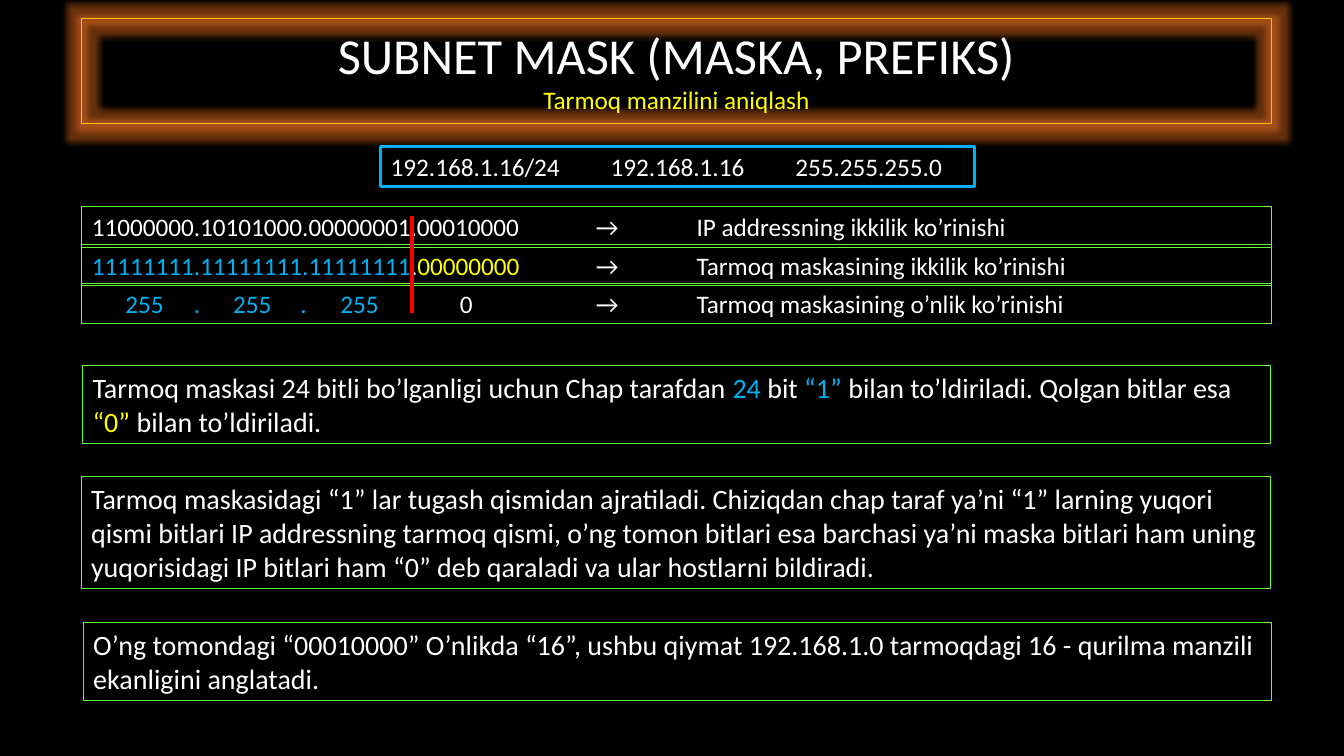
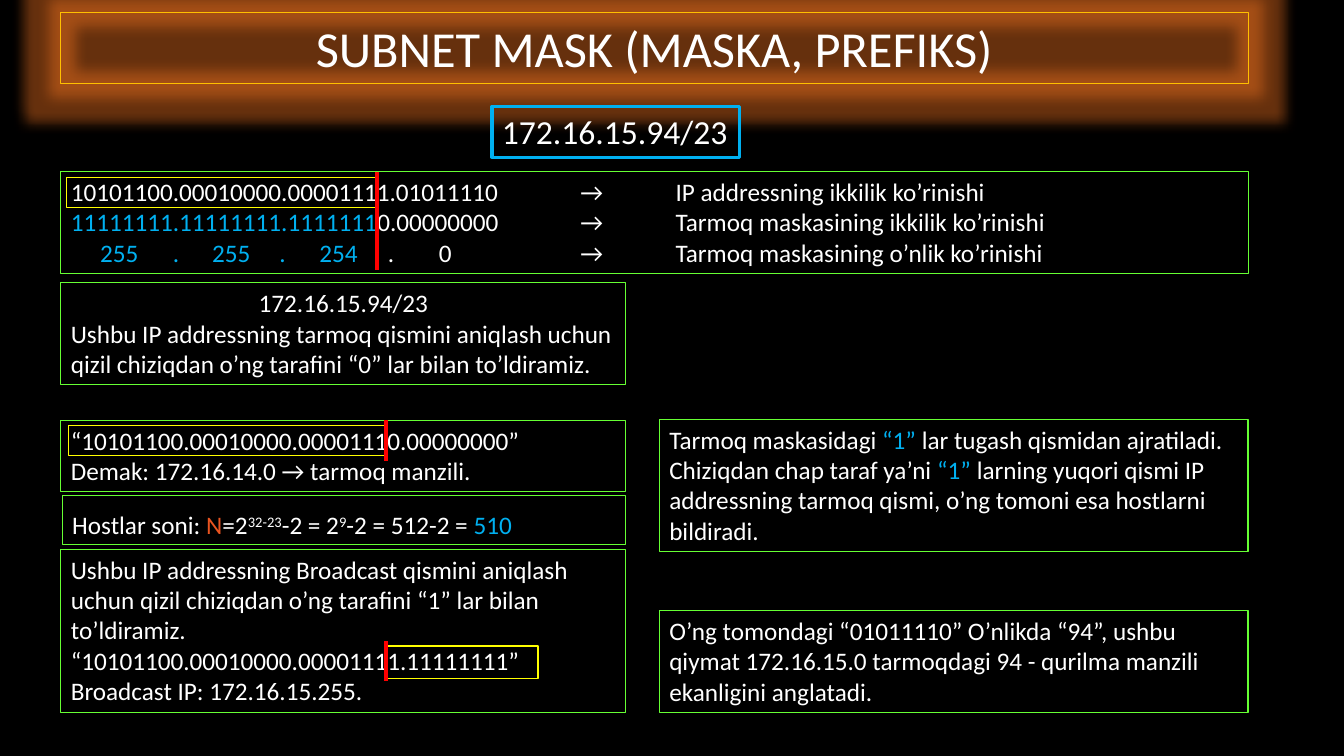
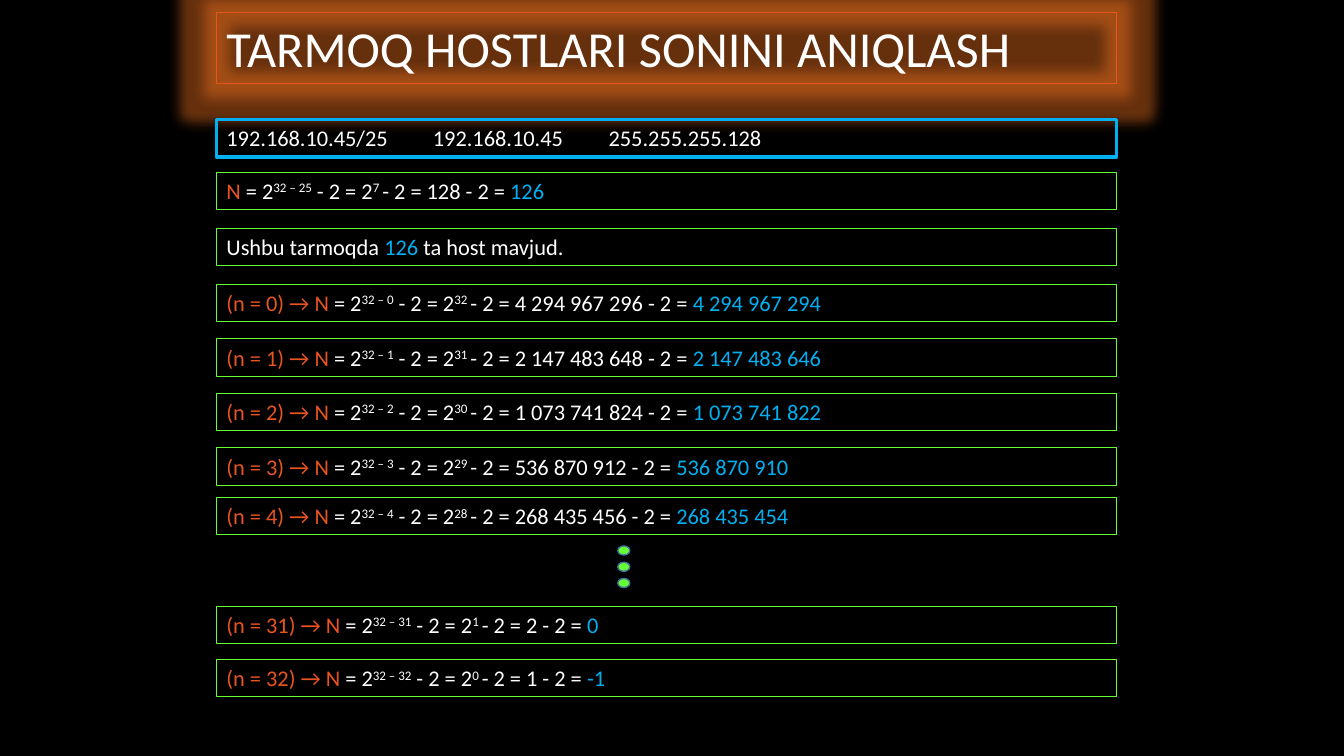
from dataclasses import dataclass

from lxml.etree import SubElement
from pptx import Presentation
from pptx.dml.color import RGBColor
from pptx.enum.shapes import MSO_CONNECTOR, MSO_SHAPE
from pptx.enum.text import MSO_ANCHOR, MSO_AUTO_SIZE, PP_ALIGN
from pptx.oxml.ns import qn
from pptx.util import Pt


# Theme
@dataclass(frozen=True)
class Theme:
    font: str = "Calibri"
    black: str = "000000"
    white: str = "FFFFFF"
    blue: str = "00B0F0"
    yellow: str = "FFFF00"
    green: str = "66FF33"
    gold: str = "FFC000"
    orange: str = "E95420"
    red: str = "FF0000"
    glow: str = "FF7A22"
    dot_edge: str = "43739E"
    title: float = 36
    address: float = 24
    body: float = 20
    text: float = 18
    formula: float = 16
    thin: float = 0.75
    mark: float = 1
    thick: float = 2.25
    divider: float = 3


THEME = Theme()


@dataclass(frozen=True)
class Area:
    left: float
    top: float
    width: float
    height: float

    def emu(self) -> tuple:
        return Pt(self.left), Pt(self.top), Pt(self.width), Pt(self.height)


@dataclass(frozen=True)
class Span:
    text: str
    color: str = THEME.white
    raised: bool = False


@dataclass(frozen=True)
class Para:
    spans: tuple
    size: float = THEME.text
    centered: bool = False
    tabs: tuple = ()


def plain(text: str, size: float = THEME.text, centered: bool = False, tabs: tuple = ()) -> Para:
    return Para((Span(text),), size, centered, tabs)


def blue(text: str) -> Span:
    return Span(text, THEME.blue)


# Drawing
def add_para(para, content: Para) -> None:
    para.alignment = PP_ALIGN.CENTER if content.centered else PP_ALIGN.LEFT
    if content.tabs:
        tab_list = SubElement(para._p.get_or_add_pPr(), qn("a:tabLst"))
        for stop in content.tabs:
            SubElement(tab_list, qn("a:tab"), pos=str(int(Pt(stop))), algn="l")
    for span in content.spans:
        run = para.add_run()
        run.text = span.text
        run.font.name = THEME.font
        run.font.size = Pt(content.size)
        run.font.color.rgb = RGBColor.from_string(span.color)
        if span.raised:
            run._r.get_or_add_rPr().set("baseline", "30000")


def add_box(page, area: Area, *paras: Para, edge: str = THEME.green,
            weight: float = THEME.thin, wrap: bool = True):
    box = page.shapes.add_textbox(*area.emu())
    box.line.color.rgb = RGBColor.from_string(edge)
    box.line.width = Pt(weight)
    frame = box.text_frame
    frame.word_wrap = wrap
    frame.auto_size = MSO_AUTO_SIZE.SHAPE_TO_FIT_TEXT
    for index, content in enumerate(paras):
        add_para(frame.add_paragraph() if index else frame.paragraphs[0], content)
    return box


def add_title(page, area: Area, *paras: Para, radius: float = 18, edge: str = THEME.gold) -> None:
    box = add_box(page, area, *paras, edge=edge)
    effects = SubElement(box._element.spPr, qn("a:effectLst"))
    glow = SubElement(effects, qn("a:glow"), rad=str(int(Pt(radius))))
    color = SubElement(glow, qn("a:srgbClr"), val=THEME.glow)
    SubElement(color, qn("a:alpha"), val="40000")


def add_address(page, area: Area, para: Para, wrap: bool = True) -> None:
    add_box(page, area, para, edge=THEME.blue, weight=THEME.thick, wrap=wrap)


def add_divider(page, x: float, top: float, bottom: float) -> None:
    line = page.shapes.add_connector(MSO_CONNECTOR.STRAIGHT, Pt(x), Pt(top), Pt(x), Pt(bottom))
    line.line.color.rgb = RGBColor.from_string(THEME.red)
    line.line.width = Pt(THEME.divider)
    SubElement(line._element.spPr, qn("a:effectLst"))


def add_mark(page, area: Area) -> None:
    mark = page.shapes.add_shape(MSO_SHAPE.RECTANGLE, *area.emu())
    mark.shadow.inherit = False
    mark.fill.background()
    mark.line.color.rgb = RGBColor.from_string(THEME.yellow)
    mark.line.width = Pt(THEME.mark)


def add_dot(page, area: Area) -> None:
    dot = page.shapes.add_shape(MSO_SHAPE.OVAL, *area.emu())
    dot.shadow.inherit = False
    dot.fill.solid()
    dot.fill.fore_color.rgb = RGBColor.from_string(THEME.green)
    dot.line.color.rgb = RGBColor.from_string(THEME.dot_edge)
    dot.line.width = Pt(THEME.mark)


# Shared content
MASK_TITLE = plain("SUBNET MASK (MASKA, PREFIKS)", THEME.title, True)
OCTET_TABS = (73, 101, 149, 177.5, 226.5, 263)
CAPTION_TAB = 432
NBSP = " "


def binary_rows(address: str, mask: tuple, octets: str, rest: str,
                indent: float, arrow: float) -> tuple:
    """The address, its binary mask and its decimal mask, each with a caption."""
    tabs = (arrow, CAPTION_TAB)
    return (
        plain(f"{address}\t→\tIP addressning ikkilik ko’rinishi", tabs=tabs),
        Para((*mask, Span("\t→\tTarmoq maskasining ikkilik ko’rinishi")), tabs=tabs),
        Para((blue(f"\t{octets}"), Span(f"{rest}\t→\tTarmoq maskasining o’nlik ko’rinishi")),
             tabs=(indent, *OCTET_TABS, *tabs)),
    )


def grouped(number: int) -> str:
    return f"{number:,}".replace(",", NBSP)


def host_formula(prefix: int, label: str) -> Para:
    bits = 32 - prefix
    total = 2 ** bits
    return Para((
        Span(f"{label} ", THEME.orange), Span("= 2"), Span(f"32 – {prefix}", raised=True),
        Span(" - 2 = 2"), Span(f"{bits} ", raised=True),
        Span(f"- 2 = {grouped(total)} - 2 = "), blue(grouped(total - 2)),
    ), THEME.formula)


# Slide 1: finding the network address
def build_network_page(page) -> None:
    left, width = 58.5, 849.5
    add_title(page, Area(left, 13.5, width, 75), MASK_TITLE,
              Para((Span("Tarmoq manzilini aniqlash", THEME.yellow),), centered=True), radius=8)
    add_address(page, Area(272, 104.5, 424, 29),
                plain("192.168.1.16/24\t192.168.1.16\t255.255.255.0", tabs=(157, 289)))
    mask = (blue("11111111.11111111.11111111"), Span("."), Span("00000000", THEME.yellow))
    rows = binary_rows("11000000.10101000.00000001.00010000", mask,
                       "255\t.\t255\t.\t255", "\t.\t0", 24, 360)
    for index, row in enumerate(rows):
        add_box(page, Area(left, 147.5 + 27.4 * index, width, 29), row)
    add_divider(page, 294.2, 154, 223.5)
    add_box(page, Area(left + 0.5, 261, width - 1, 55.7), Para((
        Span("Tarmoq maskasi 24 bitli bo’lganligi uchun Chap tarafdan "), blue("24"),
        Span(" bit "), blue("“1” "), Span("bilan to’ldiriladi. Qolgan bitlar esa "),
        Span("“0” ", THEME.yellow), Span("bilan to’ldiriladi."),
    ), THEME.body))
    add_box(page, Area(left - 0.5, 340.7, width, 80), plain(
        "Tarmoq maskasidagi “1” lar tugash qismidan ajratiladi. Chiziqdan chap taraf ya’ni “1” "
        "larning yuqori qismi bitlari IP addressning tarmoq qismi, o’ng tomon bitlari esa "
        "barchasi ya’ni maska bitlari ham uning yuqorisidagi IP bitlari ham “0” deb qaraladi "
        "va ular hostlarni bildiradi.", THEME.body))
    add_box(page, Area(left + 1, 444.7, width - 1, 55.7), plain(
        "O’ng tomondagi “00010000” O’nlikda “16”, ushbu qiymat 192.168.1.0 tarmoqdagi "
        "16 - qurilma manzili ekanligini anglatadi.", THEME.body))


# Slide 2: network, broadcast and host count
def build_broadcast_page(page) -> None:
    left, width, column = 43.5, 848, 403.5
    right, right_width = 471, 420.5
    add_title(page, Area(left, 9, width, 51), MASK_TITLE)
    add_address(page, Area(351.5, 76, 177, 36.4),
                plain("172.16.15.94/23", THEME.address), wrap=False)
    mask = (blue("11111111.11111111.1111111"), Span("0.00000000"))
    add_box(page, Area(left, 122.5, width, 72.7), *binary_rows(
        "10101100.00010000.00001111.01011110", mask,
        "255\t.\t255\t.\t254", "\t.\t0", 21, 364))
    add_box(page, Area(right, 299.5, right_width, 94.5), Para((
        Span("Tarmoq maskasidagi "), blue("“1” "),
        Span("lar tugash qismidan ajratiladi. Chiziqdan chap taraf ya’ni "), blue("“1” "),
        Span("larning yuqori qismi IP addressning tarmoq qismi, o’ng tomoni esa "
             "hostlarni bildiradi."))))
    add_box(page, Area(right, 436, right_width, 72.7), plain(
        "O’ng tomondagi “01011110” O’nlikda “94”, ushbu qiymat 172.16.15.0 tarmoqdagi "
        "94 - qurilma manzili ekanligini anglatadi."))
    add_box(page, Area(left, 392.3, column, 116.5),
            plain("Ushbu IP addressning Broadcast qismini aniqlash uchun qizil chiziqdan o’ng "
                  "tarafini “1” lar bilan to’ldiramiz."),
            plain("“10101100.00010000.00001111.11111111”"),
            plain("Broadcast IP: 172.16.15.255."))
    add_box(page, Area(left, 202, column, 72.7),
            plain("172.16.15.94/23", centered=True),
            plain("Ushbu IP addressning tarmoq qismini aniqlash uchun qizil chiziqdan o’ng "
                  "tarafini “0” lar bilan to’ldiramiz."))
    add_box(page, Area(left, 300.2, column, 51),
            plain("“10101100.00010000.00001110.00000000”"),
            plain("Demak: 172.16.14.0 → tarmoq manzili."))
    hosts = add_box(page, Area(left + 1, 354, column - 1, 35), Para((
        Span("Hostlar soni: "), Span("N", THEME.orange), Span("=2"), Span("32-23", raised=True),
        Span("-2 = 2"), Span("9", raised=True), Span("-2 = 512-2 = "), blue("510"))))
    hosts.text_frame.auto_size = MSO_AUTO_SIZE.NONE
    hosts.text_frame.vertical_anchor = MSO_ANCHOR.BOTTOM

    # Marked bits and the dividers beside them
    for area, x, top, bottom in (
        (Area(47.5, 126.7, 221.8, 21.6), 269.3, 123, 193),
        (Area(275.8, 461.5, 108.5, 23), 275.5, 458, 486.7),
        (Area(49, 303.8, 226, 21.6), 275.8, 300.2, 329),
    ):
        add_mark(page, area)
        add_divider(page, x, top, bottom)


# Slide 3: counting hosts
def build_hosts_page(page) -> None:
    left, width, height = 154.7, 643, 26.7

    def row(top: float) -> Area:
        return Area(left, top, width, height)

    add_title(page, Area(left, 9, width, 51),
              plain("TARMOQ HOSTLARI SONINI ANIQLASH", THEME.title), edge=THEME.orange)
    add_address(page, row(85.5), plain("192.168.10.45/25\t192.168.10.45\t255.255.255.128",
                                       THEME.formula, tabs=(147.5, 273)))
    add_box(page, row(123), host_formula(25, "N"))
    add_box(page, row(163.2), Para((Span("Ushbu tarmoqda "), blue("126 "),
                                    Span("ta host mavjud.")), THEME.formula))
    tops = {0: 203, 1: 242, 2: 281, 3: 320, 4: 355.3, 31: 433, 32: 471}
    for prefix, top in tops.items():
        add_box(page, row(top), host_formula(prefix, f"(n = {prefix}) → N"))
    for index in range(3):
        add_dot(page, Area(441.3, 390 + 11.6 * index, 8.6, 6.5))


def main() -> None:
    deck = Presentation()
    deck.slide_width, deck.slide_height = Pt(960), Pt(540)
    backdrop = deck.slide_master.background.fill
    backdrop.solid()
    backdrop.fore_color.rgb = RGBColor.from_string(THEME.black)
    for build in (build_network_page, build_broadcast_page, build_hosts_page):
        build(deck.slides.add_slide(deck.slide_layouts[6]))
    deck.save("out.pptx")


if __name__ == "__main__":
    main()
